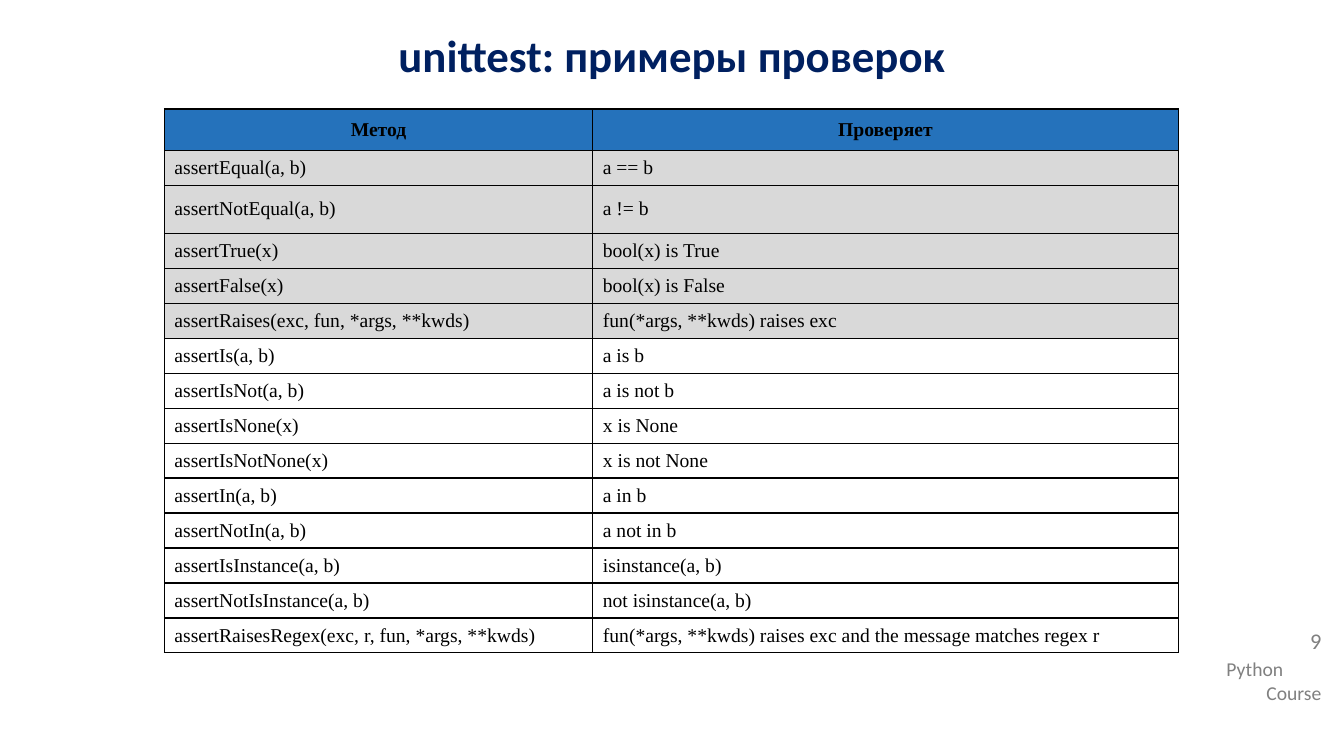
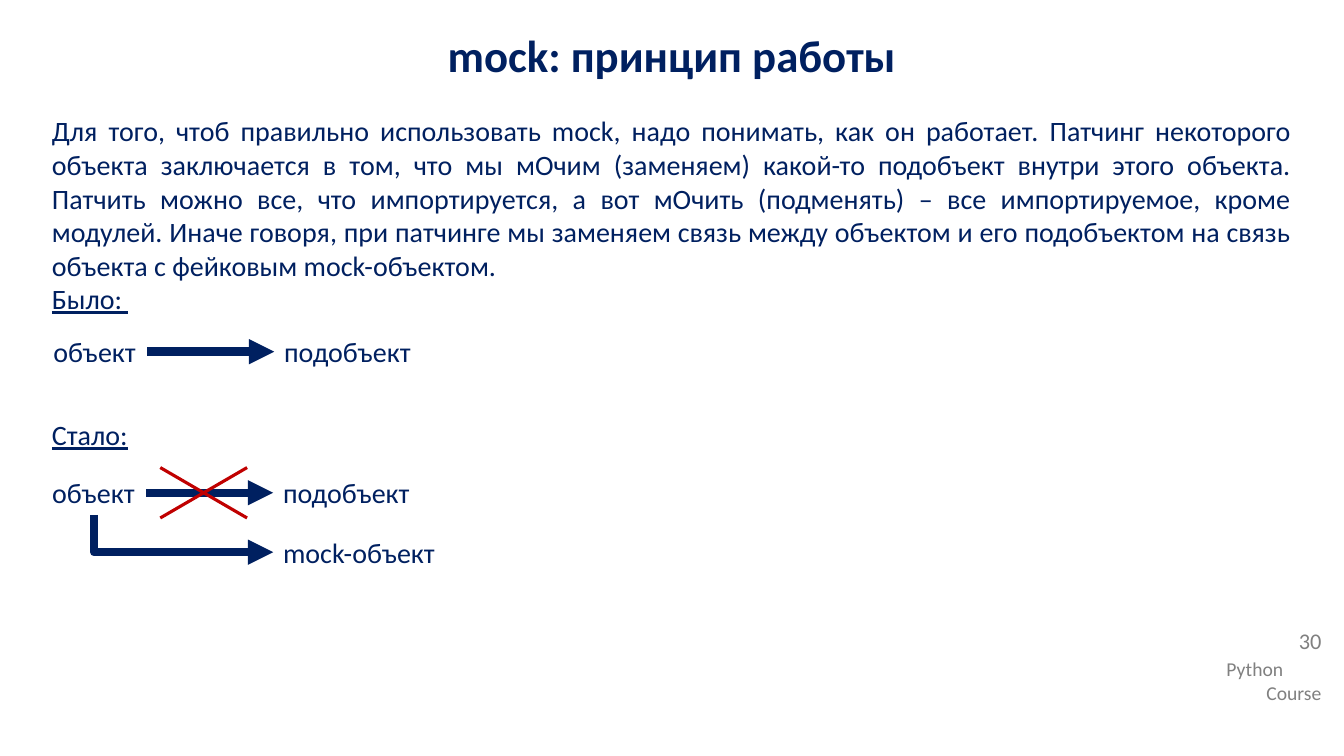
from dataclasses import dataclass

from lxml import etree
from pptx import Presentation
from pptx.dml.color import RGBColor
from pptx.enum.shapes import MSO_CONNECTOR
from pptx.enum.text import MSO_ANCHOR, MSO_AUTO_SIZE, PP_ALIGN
from pptx.oxml.ns import qn
from pptx.util import Pt

LEFT, CENTER, RIGHT, JUSTIFY = PP_ALIGN.LEFT, PP_ALIGN.CENTER, PP_ALIGN.RIGHT, PP_ALIGN.JUSTIFY
MIDDLE = MSO_ANCHOR.MIDDLE
GROW = MSO_AUTO_SIZE.SHAPE_TO_FIT_TEXT
STRAIGHT, ELBOW = MSO_CONNECTOR.STRAIGHT, MSO_CONNECTOR.ELBOW
BOTTOM_SIDE, LEFT_SIDE, RIGHT_SIDE = 2, 1, 3

PAGE_WIDTH, PAGE_HEIGHT = 960, 540
NAVY, GREY, RED, BLACK = "002060", "808080", "C00000", "000000"
HEADER_FILL, BASIC_FILL = "2572BB", "D9D9D9"

LABEL_HEIGHT = 31.6
LABEL_WIDTH, SUBLABEL_WIDTH, MOCK_WIDTH = 74.2, 105.8, 124.6
SUBLABEL_OFFSET = 164.9


@dataclass(frozen=True)
class Style:
    size: float
    colour: str
    font: str = "Calibri"
    bold: bool = False
    underline: bool = False


@dataclass(frozen=True)
class Line:
    text: str
    style: Style
    align: PP_ALIGN = LEFT
    before: float = 0
    after: float = 0
    spacing: float = 1.0


@dataclass(frozen=True)
class Frame:
    left: float
    top: float
    width: float
    height: float


@dataclass(frozen=True)
class Check:
    method: str
    meaning: str
    fill: str = ""
    height: float = 25


TITLE = Style(32, NAVY, bold=True)
BODY = Style(20, NAVY)
HEADING = Style(20, NAVY, underline=True)
FOOTER = Style(14, GREY)
NUMBER = Style(16, GREY)
CELL = Style(14, BLACK, "Times New Roman")
HEADER = Style(14, BLACK, "Times New Roman", bold=True)

CHECKS = [
    Check("Метод", "Проверяет", HEADER_FILL, 29.6),
    Check("assertEqual(a, b)", "a == b", BASIC_FILL),
    Check("assertNotEqual(a, b)", "a != b", BASIC_FILL, 34.3),
    Check("assertTrue(x)", "bool(x) is True", BASIC_FILL),
    Check("assertFalse(x)", "bool(x) is False", BASIC_FILL),
    Check("assertRaises(exc, fun, *args, **kwds)", "fun(*args, **kwds) raises exc", BASIC_FILL),
    Check("assertIs(a, b)", "a is b"),
    Check("assertIsNot(a, b)", "a is not b"),
    Check("assertIsNone(x)", "x is None"),
    Check("assertIsNotNone(x)", "x is not None"),
    Check("assertIn(a, b)", "a in b"),
    Check("assertNotIn(a, b)", "a not in b"),
    Check("assertIsInstance(a, b)", "isinstance(a, b)"),
    Check("assertNotIsInstance(a, b)", "not isinstance(a, b)"),
    Check(
        "assertRaisesRegex(exc, r, fun, *args, **kwds)",
        "fun(*args, **kwds) raises exc and the message matches regex r",
    ),
]

EXPLANATION = (
    "Для того, чтоб правильно использовать mock, надо понимать, как он работает. "
    "Патчинг некоторого объекта заключается в том, что мы мОчим (заменяем) какой-то "
    "подобъект внутри этого объекта. Патчить можно все, что импортируется, а вот мОчить "
    "(подменять) – все импортируемое, кроме модулей. Иначе говоря, при патчинге мы заменяем "
    "связь между объектом и его подобъектом на связь объекта с фейковым mock-объектом."
)


def rgb(colour: str) -> RGBColor:
    return RGBColor.from_string(colour)


def write_para(para, line: Line) -> None:
    para.text = line.text
    para.alignment = line.align
    para.space_before, para.space_after = Pt(line.before), Pt(line.after)
    para.line_spacing = line.spacing
    for span in para.runs:
        font = span.font
        font.name, font.size = line.style.font, Pt(line.style.size)
        font.bold, font.underline = line.style.bold, line.style.underline
        font.color.rgb = rgb(line.style.colour)


def add_text(page, frame: Frame, lines: list[Line], wrap: bool = True, grow: bool = False):
    box = page.shapes.add_textbox(
        Pt(frame.left), Pt(frame.top), Pt(frame.width), Pt(frame.height)
    )
    text_frame = box.text_frame
    text_frame.word_wrap = wrap
    if grow:
        text_frame.auto_size = GROW
    for index, line in enumerate(lines):
        para = text_frame.add_paragraph() if index else text_frame.paragraphs[0]
        write_para(para, line)
    return box


def add_page(deck, title: str, number: int):
    page = deck.slides.add_slide(deck.slide_layouts[6])
    footer = [Line("Python", FOOTER), Line("Course", FOOTER, RIGHT)]
    add_text(page, Frame(869, 465.8, 82, 41), footer, grow=True)
    number_line = Line(str(number), NUMBER, RIGHT, before=10, spacing=0.9)
    add_text(page, Frame(869, 446.4, 82, 32.4), [number_line])
    title_line = Line(title, TITLE, CENTER, before=5, after=5)
    add_text(page, Frame(0, 16.5, PAGE_WIDTH, 54.7), [title_line])
    return page


def add_borders(cell) -> None:
    properties = cell._tc.get_or_add_tcPr()
    for side in ("a:lnL", "a:lnR", "a:lnT", "a:lnB"):
        border = etree.SubElement(properties, qn(side), w=str(Pt(1)))
        fill = etree.SubElement(border, qn("a:solidFill"))
        etree.SubElement(fill, qn("a:srgbClr"), val=BLACK)


def fill_cell(cell, text: str, colour: str, is_header: bool) -> None:
    add_borders(cell)
    if colour:
        cell.fill.solid()
        cell.fill.fore_color.rgb = rgb(colour)
    else:
        cell.fill.background()
    cell.vertical_anchor = MIDDLE
    if is_header:
        cell.margin_left = cell.margin_right = cell.margin_top = cell.margin_bottom = Pt(1.5)
    style, align = (HEADER, CENTER) if is_header else (CELL, LEFT)
    write_para(cell.text_frame.paragraphs[0], Line(text, style, align))


def add_checks_table(page) -> None:
    widths = (306, 418.3)
    height = sum(check.height for check in CHECKS)
    table = page.shapes.add_table(
        len(CHECKS), len(widths), Pt(117.4), Pt(77.8), Pt(sum(widths)), Pt(height)
    ).table
    table.first_row = table.horz_banding = False
    for column, width in zip(table.columns, widths):
        column.width = Pt(width)
    for row_index, check in enumerate(CHECKS):
        table.rows[row_index].height = Pt(check.height)
        for column_index, text in enumerate((check.method, check.meaning)):
            fill_cell(table.cell(row_index, column_index), text, check.fill, row_index == 0)


def add_line(page, kind, points: tuple, colour: str, width: float, arrow: bool = False):
    connector = page.shapes.add_connector(kind, *(Pt(value) for value in points))
    connector.line.color.rgb = rgb(colour)
    connector.line.width = Pt(width)
    if arrow:
        etree.SubElement(connector.line._get_or_add_ln(), qn("a:tailEnd"), type="triangle")
    etree.SubElement(connector._element.spPr, qn("a:effectLst"))
    return connector


def add_arrow(page, source, target) -> None:
    arrow = add_line(page, STRAIGHT, (0, 0, 0, 0), NAVY, 6, arrow=True)
    arrow.begin_connect(source, RIGHT_SIDE)
    arrow.end_connect(target, LEFT_SIDE)


def add_bent_arrow(page, source, target) -> None:
    """Draw an arrow that leaves the source downwards and turns right into the target."""
    arrow = add_line(page, ELBOW, (0, 0, 0, 0), NAVY, 6, arrow=True)
    arrow.begin_connect(source, BOTTOM_SIDE)
    arrow.end_connect(target, LEFT_SIDE)
    across, down = arrow.width, arrow.height
    arrow.left += (across - down) // 2
    arrow.top -= (across - down) // 2
    arrow.width, arrow.height = down, across
    properties = arrow._element.spPr
    properties.find(qn("a:prstGeom")).set("prst", "bentConnector2")
    transform = properties.find(qn("a:xfrm"))
    transform.set("rot", str(270 * 60000))
    transform.set("flipH", "1")


def add_label(page, text: str, left: float, top: float, width: float):
    frame = Frame(left, top, width, LABEL_HEIGHT)
    return add_text(page, frame, [Line(text, BODY)], wrap=False, grow=True)


def add_relation(page, left: float, top: float):
    source = add_label(page, "объект", left, top, LABEL_WIDTH)
    target = add_label(page, "подобъект", left + SUBLABEL_OFFSET, top, SUBLABEL_WIDTH)
    add_arrow(page, source, target)
    return source


def add_cross(page, frame: Frame) -> None:
    right, bottom = frame.left + frame.width, frame.top + frame.height
    for start, end in ((frame.left, right), (right, frame.left)):
        add_line(page, STRAIGHT, (start, frame.top, end, bottom), RED, 2.25)


def build_checks_page(deck) -> None:
    add_checks_table(add_page(deck, "unittest: примеры проверок", 9))


def build_mock_page(deck) -> None:
    page = add_page(deck, "mock: принцип работы", 30)
    lines = [
        Line(EXPLANATION, BODY, JUSTIFY),
        Line("Было: ", HEADING, JUSTIFY),
        Line("Стало:", HEADING, JUSTIFY, before=73),
    ]
    add_text(page, Frame(30, 77.8, 899.5, 448.5), lines)
    add_relation(page, 31, 235.4)
    left, top = 30.2, 336.2
    source = add_relation(page, left, top)
    mock = add_label(page, "mock-объект", left + SUBLABEL_OFFSET, top + 42.5, MOCK_WIDTH)
    add_bent_arrow(page, source, mock)
    add_cross(page, Frame(114.5, 334, 62, 36))


def main() -> None:
    deck = Presentation()
    deck.slide_width, deck.slide_height = Pt(PAGE_WIDTH), Pt(PAGE_HEIGHT)
    build_checks_page(deck)
    build_mock_page(deck)
    deck.save("out.pptx")


if __name__ == "__main__":
    main()
